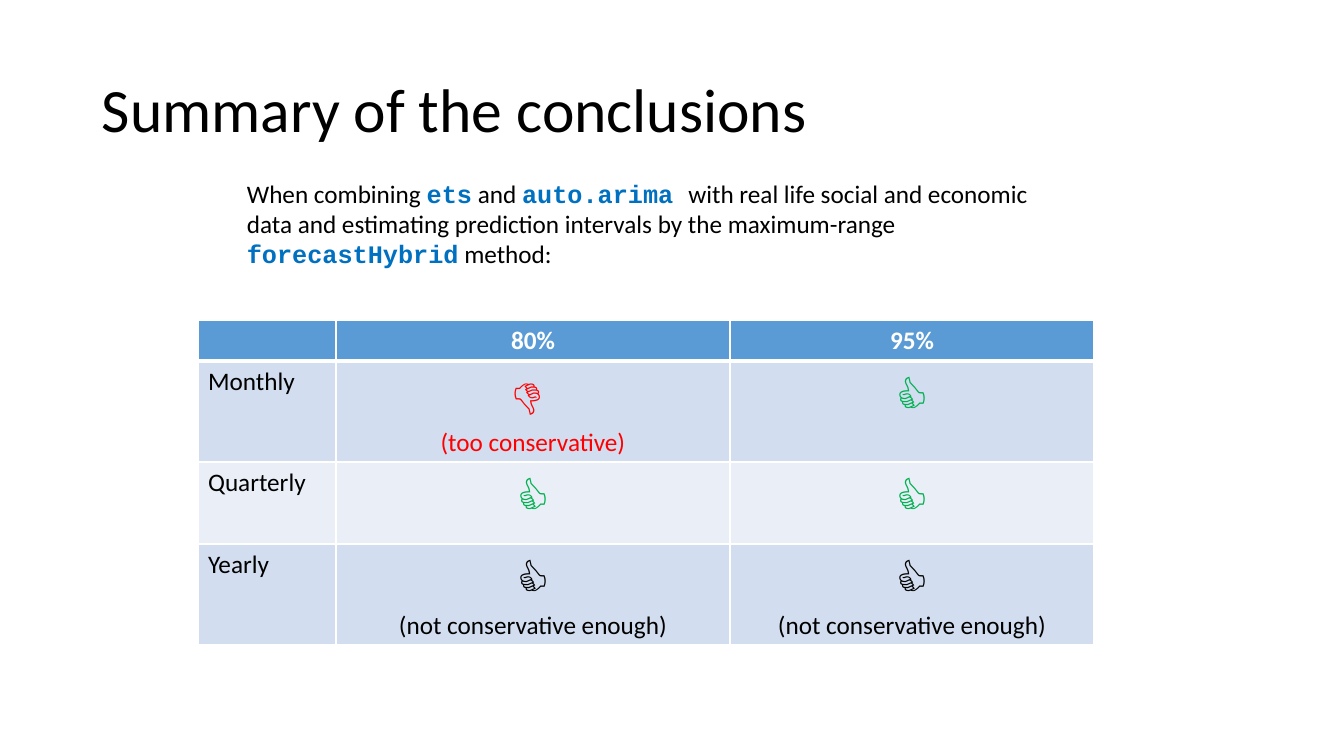
import dataclasses

import lxml.etree
import pptx
import pptx.dml.color
import pptx.enum.text
import pptx.oxml.ns
import pptx.util

PX = 12192000 / 1344  # EMU in one px
ALIGN = pptx.enum.text.PP_ALIGN
ANCHOR = pptx.enum.text.MSO_ANCHOR


@dataclasses.dataclass(frozen=True)
class Theme:
    sans: str = "Calibri"
    mono: str = "Courier New"
    title: int = 44
    thumb: int = 36
    body: int = 18
    black: str = "000000"
    white: str = "FFFFFF"
    code: str = "0070C0"
    bad: str = "FF0000"
    good: str = "00B050"
    header: str = "5B9BD5"
    bands: tuple = ("D2DEEF", "EAEFF7")


T = Theme()
GOOD = ("👍", "", T.good)
TOO_NARROW = ("👍", "(not conservative enough)", T.black)
LEVELS = ["80%", "95%"]
VERDICTS = [
    ("Monthly", ("👎 ", "(too conservative)", T.bad), GOOD),
    ("Quarterly", GOOD, GOOD),
    ("Yearly", TOO_NARROW, TOO_NARROW),
]
COL_WIDTHS = [138, 394, 364]
ROW_HEIGHTS = [41, 101, 82, 101]
# Text and whether it is code
INTRO = [
    ("When combining ", False),
    ("ets", True),
    (" and ", False),
    ("auto.arima ", True),
    ("with real life social and economic data and estimating prediction "
     "intervals by the maximum-range ", False),
    ("forecastHybrid", True),
    (" method:", False),
]


def px(n):
    return pptx.util.Emu(round(n * PX))


def rgb(color):
    return pptx.dml.color.RGBColor.from_string(color)


def style(font, size=T.body, color=T.black, bold=False, name=T.sans):
    font.name = name
    font.size = pptx.util.Pt(size)
    font.bold = bold
    font.color.rgb = rgb(color)


def add_run(p, text, **look):
    r = p.add_run()
    r.text = text
    style(r.font, **look)


def add_text_box(s, x, y, w, h, anchor=ANCHOR.TOP):
    """Add a wrapping text box and return its first paragraph."""
    tf = s.shapes.add_textbox(px(x), px(y), px(w), px(h)).text_frame
    tf.word_wrap = True
    tf.vertical_anchor = anchor
    return tf.paragraphs[0]


def add_title(s, text):
    p = add_text_box(s, 92, 40, 1159, 146, ANCHOR.MIDDLE)
    p.text = text
    p.line_spacing = 0.9
    style(p.font, size=T.title)


def add_intro(s):
    p = add_text_box(s, 237, 173, 818, 102)
    for text, is_code in INTRO:
        add_run(p, text, bold=is_code,
                color=T.code if is_code else T.black,
                name=T.mono if is_code else T.sans)


def add_border(cell, side, width):
    qn = pptx.oxml.ns.qn
    ln = lxml.etree.SubElement(cell._tc.get_or_add_tcPr(), qn(f"a:ln{side}"),
                               w=str(pptx.util.Pt(width)))
    fill = lxml.etree.SubElement(ln, qn("a:solidFill"))
    lxml.etree.SubElement(fill, qn("a:srgbClr"), val=T.white)


def paint_cell(cell, row):
    """Give the cell its borders and the fill of its row."""
    widths = {"L": 1, "R": 1, "T": 3 if row == 1 else 1, "B": 3 if row == 0 else 1}
    for side, width in widths.items():
        add_border(cell, side, width)
    cell.fill.solid()
    cell.fill.fore_color.rgb = rgb(T.bands[(row - 1) % 2] if row else T.header)


def write_label(cell, text, **look):
    p = cell.text_frame.paragraphs[0]
    p.text = text
    style(p.font, **look)
    return p


def write_verdict(cell, thumb, remark, color):
    p = cell.text_frame.paragraphs[0]
    p.alignment = ALIGN.CENTER
    add_run(p, thumb, size=T.thumb, color=color, bold=True)
    if remark:
        p.add_line_break()
        add_run(p, remark, color=color)


def add_verdict_table(s):
    table = s.shapes.add_table(len(ROW_HEIGHTS), len(COL_WIDTHS), px(198), px(320),
                               px(sum(COL_WIDTHS)), px(sum(ROW_HEIGHTS))).table
    for col, width in zip(table.columns, COL_WIDTHS):
        col.width = px(width)
    for i, (row, height) in enumerate(zip(table.rows, ROW_HEIGHTS)):
        row.height = px(height)
        for cell in row.cells:
            paint_cell(cell, i)
    for j, level in enumerate(LEVELS, 1):
        p = write_label(table.cell(0, j), level, color=T.white, bold=True)
        p.alignment = ALIGN.CENTER
    for i, (period, *verdicts) in enumerate(VERDICTS, 1):
        write_label(table.cell(i, 0), period)
        for j, verdict in enumerate(verdicts, 1):
            write_verdict(table.cell(i, j), *verdict)


def main():
    prs = pptx.Presentation()
    prs.slide_width, prs.slide_height = px(1344), px(756)
    s = prs.slides.add_slide(prs.slide_layouts[6])
    add_title(s, "Summary of the conclusions")
    add_verdict_table(s)
    add_intro(s)
    prs.save("out.pptx")


if __name__ == "__main__":
    main()
